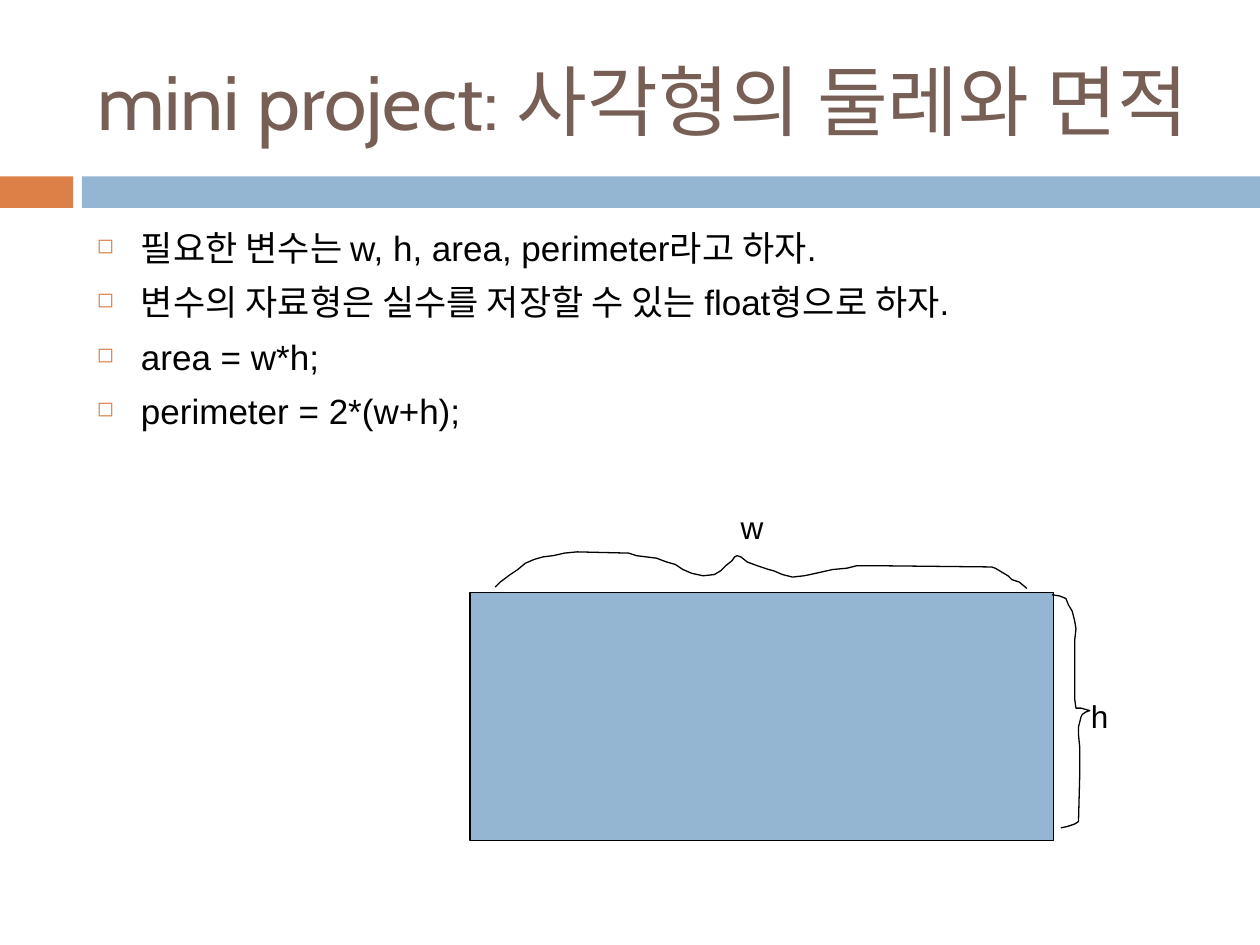
from dataclasses import dataclass

from lxml.etree import SubElement
from pptx import Presentation
from pptx.dml.color import RGBColor
from pptx.enum.shapes import MSO_SHAPE
from pptx.enum.text import MSO_ANCHOR, MSO_AUTO_SIZE, PP_ALIGN
from pptx.oxml.ns import qn
from pptx.util import Inches, Pt


@dataclass(frozen=True)
class Theme:
    orange: str = "DD8047"
    blue: str = "94B6D2"
    brown: str = "775F55"
    black: str = "000000"
    title_font: str = "Cabin"
    body_font: str = "Arial"
    title_size: float = 44
    body_size: float = 20
    label_size: float = 18
    outline: float = 0.75


THEME = Theme()

# Content
TITLE = "mini project: 사각형의 둘레와 면적"
BULLETS = [
    "필요한 변수는 w, h, area, perimeter라고 하자.",
    "변수의 자료형은 실수를 저장할 수 있는 float형으로 하자.",
    "area = w*h;",
    "perimeter = 2*(w+h);",
]
LABELS = [("w", 5.78, 3.98, 0.38), ("h", 8.56, 5.48, 0.34)]

# Layout in inches
WIDTH, HEIGHT = 10, 7.5
LEFT, TEXT_WIDTH = 0.67, 8.92
BAR_TOP, BAR_HEIGHT = 1.4, 0.25
BARS = [(0, 0.58, THEME.orange), (0.65, WIDTH - 0.65, THEME.blue)]
RECTANGLE = (3.73, 4.7, 4.63, 1.97)

# Hand-drawn braces that mark the width and the height
WIDTH_BRACE = [
    (3.93, 4.66), (3.97, 4.62), (4.05, 4.56), (4.11, 4.52), (4.17, 4.47),
    (4.24, 4.44), (4.31, 4.42), (4.39, 4.41), (4.48, 4.39), (4.58, 4.38),
    (4.99, 4.39), (5.05, 4.41), (5.21, 4.43), (5.29, 4.46), (5.36, 4.48),
    (5.42, 4.52), (5.49, 4.55), (5.58, 4.57), (5.67, 4.56), (5.72, 4.53),
    (5.76, 4.49), (5.81, 4.45), (5.83, 4.42), (5.85, 4.41), (5.88, 4.42),
    (5.93, 4.46), (6.01, 4.49), (6.1, 4.52), (6.14, 4.53), (6.21, 4.56),
    (6.29, 4.58), (6.38, 4.57), (6.43, 4.56), (6.52, 4.54), (6.61, 4.52),
    (6.72, 4.51), (6.8, 4.49), (6.95, 4.49), (7.87, 4.5), (7.9, 4.51),
    (7.95, 4.54), (8, 4.57), (8.03, 4.6), (8.09, 4.62), (8.15, 4.67),
]
HEIGHT_BRACE = [
    (8.35, 4.72), (8.41, 4.73), (8.46, 4.75), (8.48, 4.8), (8.51, 4.85),
    (8.53, 4.93), (8.54, 4.99), (8.53, 5.08), (8.53, 5.55), (8.54, 5.62),
    (8.58, 5.62), (8.65, 5.64), (8.62, 5.65), (8.59, 5.67), (8.58, 5.69),
    (8.56, 5.77), (8.56, 5.83), (8.57, 5.93), (8.57, 6.15), (8.56, 6.52),
    (8.53, 6.54), (8.47, 6.56), (8.42, 6.57),
]


def color(value):
    return RGBColor.from_string(value)


def box(*lengths):
    return [Inches(length) for length in lengths]


def set_font(paragraph, name, size, value):
    paragraph.font.name = name
    paragraph.font.size = Pt(size)
    paragraph.font.color.rgb = color(value)


def add_outline(shape):
    shape.line.color.rgb = color(THEME.black)
    shape.line.width = Pt(THEME.outline)


def add_rectangle(slide, left, top, width, height, fill):
    shape = slide.shapes.add_shape(MSO_SHAPE.RECTANGLE, *box(left, top, width, height))
    shape.shadow.inherit = False
    shape.fill.solid()
    shape.fill.fore_color.rgb = color(fill)
    shape.line.fill.background()
    return shape


def add_brace(slide, points):
    # The builder rounds to whole units, so points go in as EMU
    start, *others = [box(*point) for point in points]
    builder = slide.shapes.build_freeform(*start)
    builder.add_line_segments(others, close=False)
    shape = builder.convert_to_shape()
    shape.shadow.inherit = False
    shape.fill.background()
    add_outline(shape)


def add_bullet(paragraph):
    properties = paragraph._p.get_or_add_pPr()
    properties.set("marL", str(Inches(0.35)))
    properties.set("indent", str(-Inches(0.35)))
    bullet_color = SubElement(properties, qn("a:buClr"))
    SubElement(bullet_color, qn("a:srgbClr")).set("val", THEME.orange)
    SubElement(properties, qn("a:buSzPct")).set("val", "60000")
    SubElement(properties, qn("a:buChar")).set("char", "◻")


def add_title(slide):
    title = slide.shapes.title
    title.left, title.top, title.width, title.height = box(LEFT, 0.25, TEXT_WIDTH, 1.08)
    frame = title.text_frame
    frame.text = TITLE
    frame.auto_size = MSO_AUTO_SIZE.NONE
    frame.vertical_anchor = MSO_ANCHOR.MIDDLE
    frame.paragraphs[0].alignment = PP_ALIGN.LEFT
    set_font(frame.paragraphs[0], THEME.title_font, THEME.title_size, THEME.brown)
    return title


def add_body(slide):
    frame = slide.shapes.add_textbox(*box(LEFT, 1.75, TEXT_WIDTH, 4.92)).text_frame
    frame.word_wrap = True
    for index, text in enumerate(BULLETS):
        paragraph = frame.add_paragraph() if index else frame.paragraphs[0]
        paragraph.text = text
        add_bullet(paragraph)
        paragraph.space_before = Pt(7 if index else 0)
        set_font(paragraph, THEME.body_font, THEME.body_size, THEME.black)


def add_label(slide, text, left, top, width):
    frame = slide.shapes.add_textbox(*box(left, top, width, 0.4)).text_frame
    frame.word_wrap = False
    frame.auto_size = MSO_AUTO_SIZE.SHAPE_TO_FIT_TEXT
    frame.text = text
    set_font(frame.paragraphs[0], THEME.body_font, THEME.label_size, THEME.black)


def main():
    presentation = Presentation()
    presentation.slide_width, presentation.slide_height = box(WIDTH, HEIGHT)
    slide = presentation.slides.add_slide(presentation.slide_layouts[5])

    # Title in front of the two bars
    title = add_title(slide)
    for left, width, fill in BARS:
        bar = add_rectangle(slide, left, BAR_TOP, width, BAR_HEIGHT, fill)
        title.element.addprevious(bar.element)

    # Bullets
    add_body(slide)

    # Measured rectangle
    add_outline(add_rectangle(slide, *RECTANGLE, THEME.blue))
    for points in (WIDTH_BRACE, HEIGHT_BRACE):
        add_brace(slide, points)
    for label in LABELS:
        add_label(slide, *label)

    presentation.save("out.pptx")


if __name__ == "__main__":
    main()
